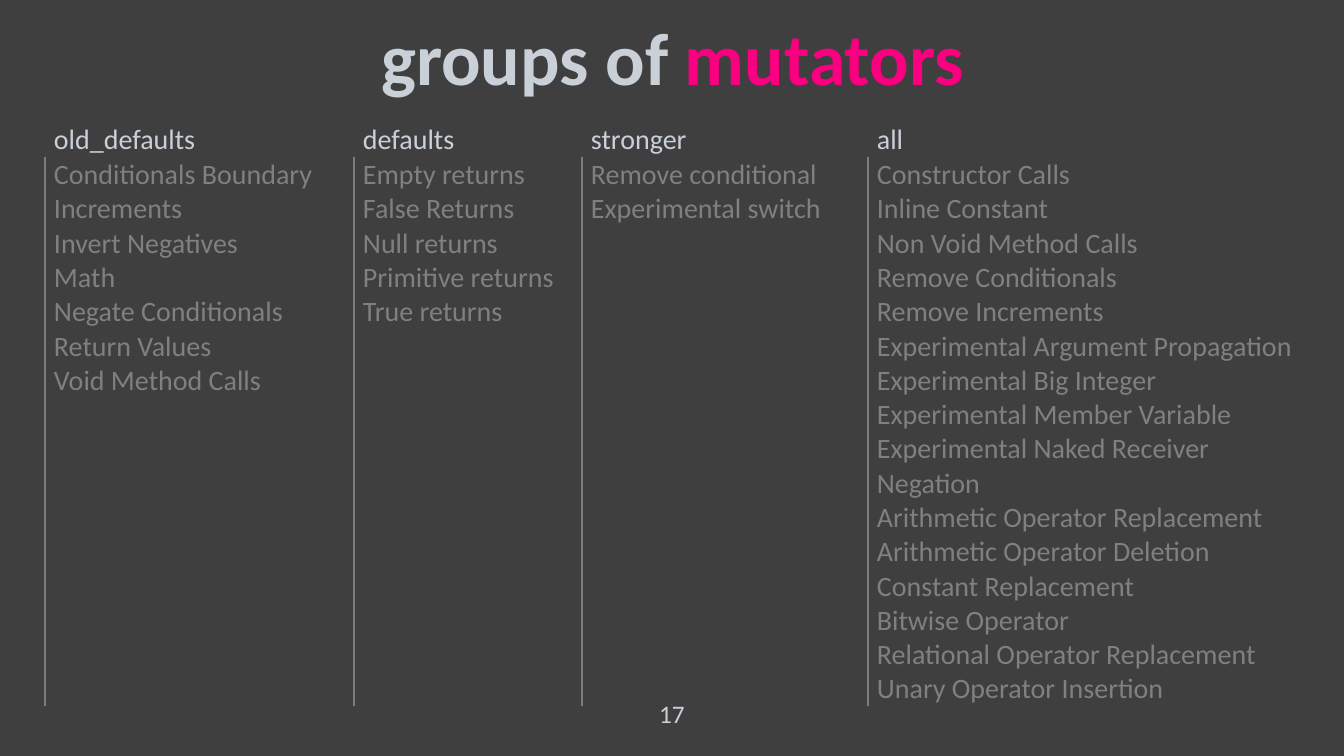
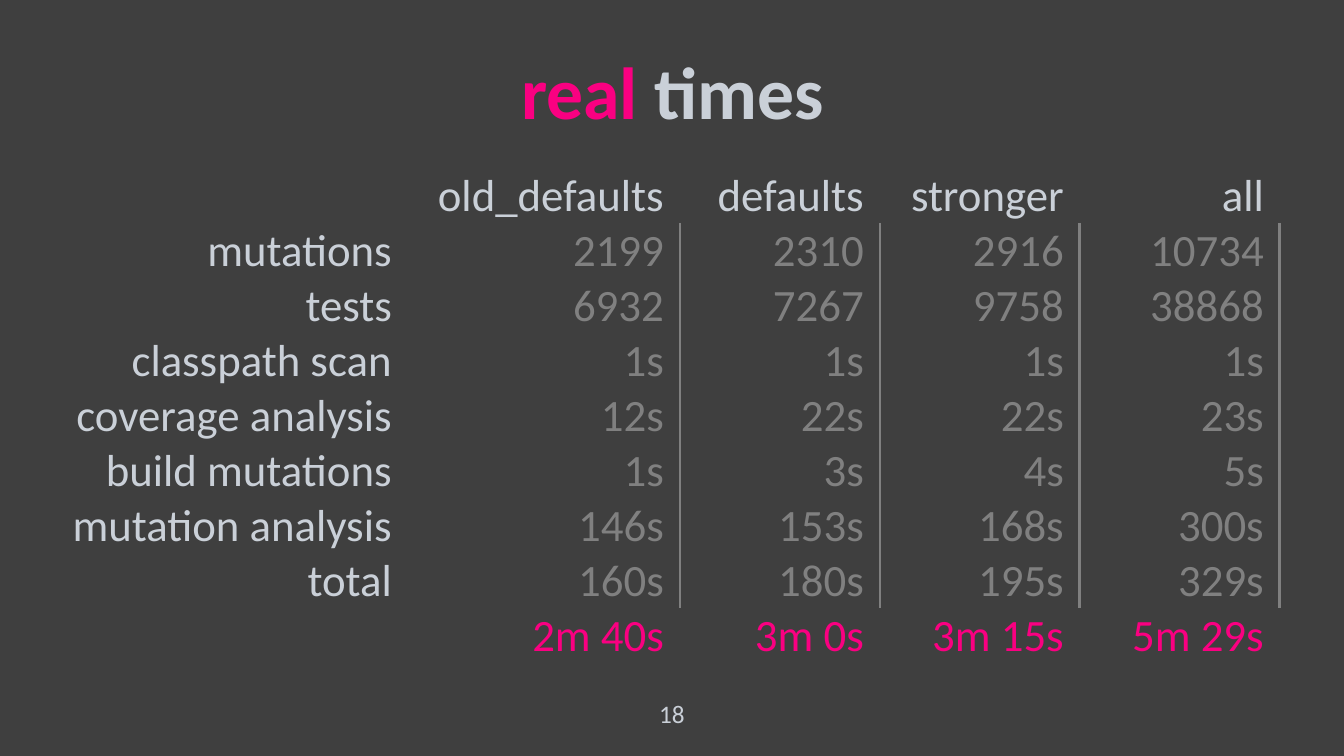
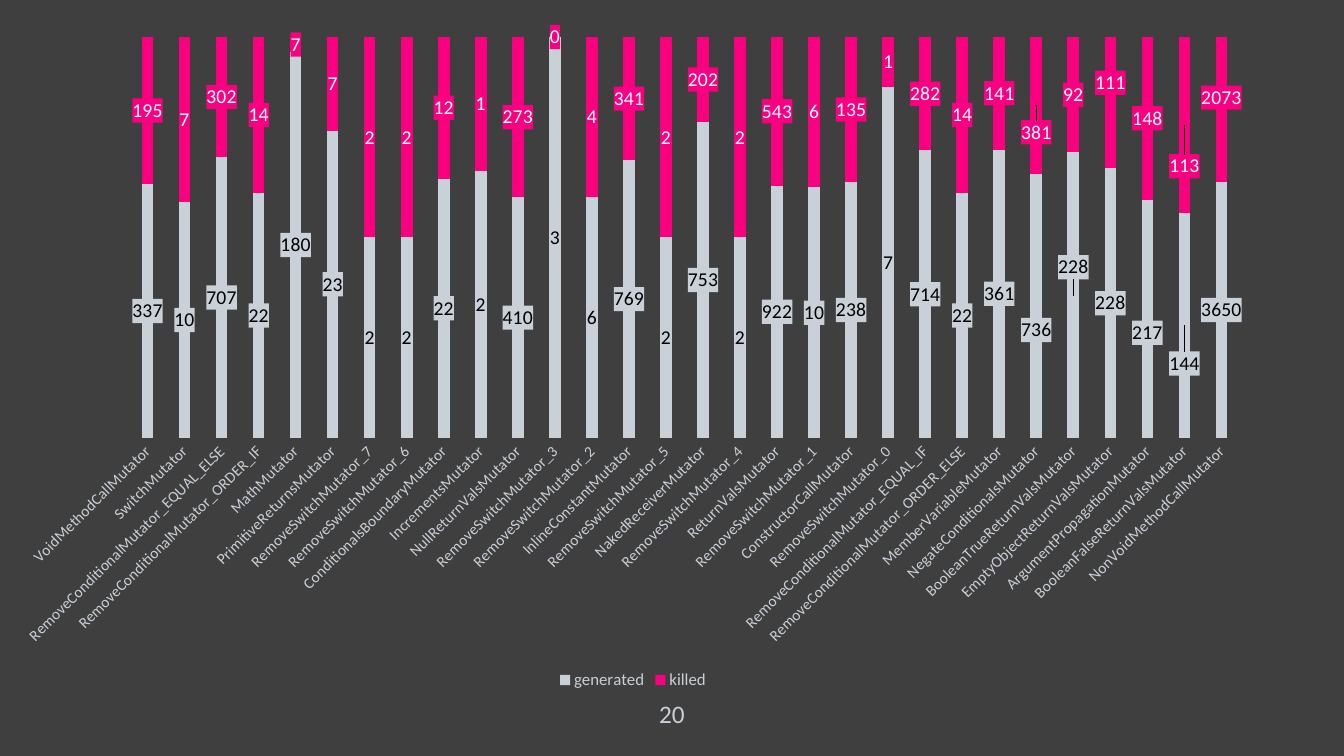
import lxml.etree
import pptx
import pptx.chart.data
import pptx.dml.color
import pptx.enum.chart
import pptx.enum.text
import pptx.oxml
import pptx.oxml.ns
import pptx.util
from dataclasses import dataclass


@dataclass(frozen=True)
class Theme:
    background: str = "3F3F3F"
    light: str = "CAD0D8"
    muted: str = "808080"
    rule: str = "7D7D7D"
    accent: str = "FA0081"
    black: str = "000000"
    white: str = "FFFFFF"
    font: str = "Calibri"
    title: float = 52.6
    times: int = 32
    groups: int = 20
    number: int = 18
    label: int = 14
    legend: int = 12
    axis: int = 11


THEME = Theme()
WIDTH, HEIGHT = 1344, 756
SCALE = 12192000 / WIDTH
TITLE_ONLY, BLANK = 5, 6
NO_GRID_STYLE = "{2D5ABB26-0587-4C30-8999-92F81FD0307C}"

# Content: mutator groups
GROUPS_TITLE = [("groups of ", THEME.light), ("mutators", THEME.accent)]
GROUPS = {
    "old_defaults": [
        "Conditionals Boundary", "Increments", "Invert Negatives", "Math",
        "Negate Conditionals", "Return Values", "Void Method Calls"],
    "defaults": [
        "Empty returns", "False Returns", "Null returns",
        "Primitive returns", "True returns"],
    "stronger": ["Remove conditional", "Experimental switch"],
    "all": [
        "Constructor Calls", "Inline Constant", "Non Void Method Calls",
        "Remove Conditionals", "Remove Increments",
        "Experimental Argument Propagation", "Experimental Big Integer",
        "Experimental Member Variable", "Experimental Naked Receiver",
        "Negation", "Arithmetic Operator Replacement",
        "Arithmetic Operator Deletion", "Constant Replacement",
        "Bitwise Operator", "Relational Operator Replacement",
        "Unary Operator Insertion"],
}

# Content: measured times
TIMES_TITLE = [("real", THEME.accent), (" times", THEME.light)]
TIMES = [
    ("", *GROUPS),
    ("mutations", "2199", "2310", "2916", "10734"),
    ("tests", "6932", "7267", "9758", "38868"),
    ("classpath scan", "1s", "1s", "1s", "1s"),
    ("coverage analysis", "12s", "22s", "22s", "23s"),
    ("build mutations", "1s", "3s", "4s", "5s"),
    ("mutation analysis", "146s", "153s", "168s", "300s"),
    ("total", "160s", "180s", "195s", "329s"),
    ("", "2m 40s", "3m 0s", "3m 15s", "5m 29s"),
]

# Content: mutator, generated, killed
RESULTS = [
    ("VoidMethodCallMutator", 337, 195),
    ("SwitchMutator", 10, 7),
    ("RemoveConditionalMutator_EQUAL_ELSE", 707, 302),
    ("RemoveConditionalMutator_ORDER_IF", 22, 14),
    ("MathMutator", 180, 7),
    ("PrimitiveReturnsMutator", 23, 7),
    ("RemoveSwitchMutator_7", 2, 2),
    ("RemoveSwitchMutator_6", 2, 2),
    ("ConditionalsBoundaryMutator", 22, 12),
    ("IncrementsMutator", 2, 1),
    ("NullReturnValsMutator", 410, 273),
    ("RemoveSwitchMutator_3", 3, 0),
    ("RemoveSwitchMutator_2", 6, 4),
    ("InlineConstantMutator", 769, 341),
    ("RemoveSwitchMutator_5", 2, 2),
    ("NakedReceiverMutator", 753, 202),
    ("RemoveSwitchMutator_4", 2, 2),
    ("ReturnValsMutator", 922, 543),
    ("RemoveSwitchMutator_1", 10, 6),
    ("ConstructorCallMutator", 238, 135),
    ("RemoveSwitchMutator_0", 7, 1),
    ("RemoveConditionalMutator_EQUAL_IF", 714, 282),
    ("RemoveConditionalMutator_ORDER_ELSE", 22, 14),
    ("MemberVariableMutator", 361, 141),
    ("NegateConditionalsMutator", 736, 381),
    ("BooleanTrueReturnValsMutator", 228, 92),
    ("EmptyObjectReturnValsMutator", 228, 111),
    ("ArgumentPropagationMutator", 217, 148),
    ("BooleanFalseReturnValsMutator", 144, 113),
    ("NonVoidMethodCallMutator", 3650, 2073),
]
# Name, bar colour, label colour, vertical label shifts in px by point
SERIES = [
    ("generated", THEME.light, THEME.black, {24: 24, 25: -28, 27: 14, 28: 38}),
    ("killed", THEME.accent, THEME.white, {24: 27, 26: -20, 28: 41, 29: -12}),
]
CHART_BOX = (0, 23, 1266, 671)
PLOT_BOX = (129, 14, 1111, 401)


# Shared helpers
def px(length):
    return pptx.util.Emu(round(length * SCALE))


def rgb(color):
    return pptx.dml.color.RGBColor.from_string(color)


def style_font(font, size, color, bold=False):
    font.name = THEME.font
    font.size = pptx.util.Pt(size)
    font.bold = bold
    font.color.rgb = rgb(color)


def make_xml(tag, body="", attributes=""):
    spaces = pptx.oxml.ns.nsdecls("a", "c")
    return pptx.oxml.parse_xml(f"<{tag} {spaces} {attributes}>{body}</{tag}>")


def solid_fill(color):
    return f'<a:solidFill><a:srgbClr val="{color}"/></a:solidFill>'


def add_page(deck, layout, number, title=(), title_top=0):
    page = deck.slides.add_slide(deck.slide_layouts[layout])
    if title:
        box = page.shapes.title
        box.left, box.top, box.width, box.height = map(
            px, (93, title_top, 1159, 146))
        frame = box.text_frame
        frame.auto_size = pptx.enum.text.MSO_AUTO_SIZE.NONE
        frame.vertical_anchor = pptx.enum.text.MSO_ANCHOR.MIDDLE
        para = frame.paragraphs[0]
        para.alignment = pptx.enum.text.PP_ALIGN.CENTER
        para.line_spacing = 0.9
        for text, color in title:
            span = para.add_run()
            span.text = text
            style_font(span.font, THEME.title, color, bold=True)
    # Page number
    box = page.shapes.add_textbox(*map(px, (584, 693, 176, 40)))
    box.text_frame.word_wrap = True
    para = box.text_frame.paragraphs[0]
    para.text = str(number)
    para.alignment = pptx.enum.text.PP_ALIGN.CENTER
    style_font(para.runs[0].font, THEME.number, THEME.light)
    return page


def add_plain_table(page, left, top, widths, heights):
    table = page.shapes.add_table(
        len(heights), len(widths), px(left), px(top),
        px(sum(widths)), px(sum(heights))).table
    table.first_row = table.horz_banding = False
    style = table._tbl.tblPr.find(pptx.oxml.ns.qn("a:tableStyleId"))
    style.text = NO_GRID_STYLE
    for column, width in zip(table.columns, widths):
        column.width = px(width)
    for row, height in zip(table.rows, heights):
        row.height = px(height)
    return table


def fill_cell(cell, text, size, color, align, anchor, left=1, right=1):
    cell.fill.background()
    cell.margin_left, cell.margin_right = px(left), px(right)
    cell.margin_top, cell.margin_bottom = px(1), 0
    cell.vertical_anchor = anchor
    cell.text_frame.text = text
    for para in cell.text_frame.paragraphs:
        para.alignment = align
        for span in para.runs:
            style_font(span.font, size, color)


def add_cell_rule(cell, side, color, points):
    width = pptx.util.Pt(points)
    line = make_xml(f"a:ln{side}", solid_fill(color), f'w="{width}"')
    cell._tc.get_or_add_tcPr().insert(0, line)


def manual_layout(**values):
    body = "".join(f'<c:{name} val="{value}"/>'
                   for name, value in values.items())
    return make_xml("c:layout", f"<c:manualLayout>{body}</c:manualLayout>")


# Pages
def build_groups(deck):
    page = add_page(deck, TITLE_ONLY, 17, GROUPS_TITLE, -11)
    table = add_plain_table(page, 45, 122, (309, 228, 286, 430), (35, 549))
    align = pptx.enum.text.PP_ALIGN.LEFT
    anchors = pptx.enum.text.MSO_ANCHOR
    for column, (name, mutators) in enumerate(GROUPS.items()):
        fill_cell(table.cell(0, column), name, THEME.groups, THEME.light,
                  align, anchors.BOTTOM, left=9)
        body = table.cell(1, column)
        fill_cell(body, "\n".join(mutators), THEME.groups, THEME.muted,
                  align, anchors.TOP, left=9)
        add_cell_rule(body, "L", THEME.rule, 1)


def build_times(deck):
    page = add_page(deck, TITLE_ONLY, 18, TIMES_TITLE, 23)
    table = add_plain_table(
        page, 62, 168, (346, 272, 200, 200, 200), [55] * len(TIMES))
    last = len(TIMES) - 1
    for row, texts in enumerate(TIMES):
        for column, text in enumerate(texts):
            cell = table.cell(row, column)
            measured = column > 0 and 0 < row < last
            color = (THEME.muted if measured else
                     THEME.accent if row == last else THEME.light)
            fill_cell(cell, text, THEME.times, color,
                      pptx.enum.text.PP_ALIGN.RIGHT,
                      pptx.enum.text.MSO_ANCHOR.BOTTOM, right=16)
            if measured:
                add_cell_rule(cell, "R", THEME.muted, 2.25)


def style_labels(series, bar_color, text_color, shifts):
    labels = series.data_labels
    labels.show_value = True
    style_font(labels.font, THEME.label, text_color)
    for point in shifts:
        style_font(series.points[point].data_label.font,
                   THEME.label, text_color)
    # Label backgrounds and shifted labels
    qn = pptx.oxml.ns.qn
    for text_style in list(labels._element.iter(qn("c:txPr"))):
        text_style.addprevious(make_xml("c:spPr", solid_fill(bar_color)))
    for label in labels._element.findall(qn("c:dLbl")):
        index = label.find(qn("c:idx"))
        shift = shifts[int(index.get("val"))]
        index.addnext(manual_layout(x=0, y=round(shift / CHART_BOX[3], 4)))


def build_results(deck):
    page = add_page(deck, BLANK, 20)
    names, *columns = zip(*RESULTS)
    data = pptx.chart.data.CategoryChartData()
    data.categories = names
    for (name, *_), values in zip(SERIES, columns):
        data.add_series(name, values)
    chart = page.shapes.add_chart(
        pptx.enum.chart.XL_CHART_TYPE.COLUMN_STACKED_100,
        *map(px, CHART_BOX), data).chart
    chart.has_title = False
    style_font(chart.font, THEME.axis, THEME.light)

    # Legend and axes
    chart.has_legend = True
    chart.legend.position = pptx.enum.chart.XL_LEGEND_POSITION.BOTTOM
    chart.legend.include_in_layout = False
    style_font(chart.legend.font, THEME.legend, THEME.light)
    chart.value_axis.visible = False
    chart.value_axis.has_major_gridlines = False
    axis = chart.category_axis
    axis.major_tick_mark = pptx.enum.chart.XL_TICK_MARK.NONE
    axis.format.line.fill.background()
    style_font(axis.tick_labels.font, THEME.axis, THEME.light)
    text_body = axis._element.find(".//" + pptx.oxml.ns.qn("a:bodyPr"))
    text_body.set("rot", "-2700000")

    # Bars and labels
    plot = chart.plots[0]
    plot.gap_width, plot.overlap = 219, 100
    plot.vary_by_categories = False
    for series, (_, bar_color, text_color, shifts) in zip(plot.series, SERIES):
        series.format.fill.solid()
        series.format.fill.fore_color.rgb = rgb(bar_color)
        style_labels(series, bar_color, text_color, shifts)

    # Plot area
    area = chart._chartSpace.find(".//" + pptx.oxml.ns.qn("c:plotArea"))
    for old in area.findall(pptx.oxml.ns.qn("c:layout")):
        area.remove(old)
    left, top, width, height = PLOT_BOX
    area.insert(0, manual_layout(
        layoutTarget="inner", xMode="edge", yMode="edge",
        x=round(left / CHART_BOX[2], 4), y=round(top / CHART_BOX[3], 4),
        w=round(width / CHART_BOX[2], 4), h=round(height / CHART_BOX[3], 4)))


def main():
    deck = pptx.Presentation()
    deck.slide_width, deck.slide_height = px(WIDTH), px(HEIGHT)
    fill = deck.slide_master.background.fill
    fill.solid()
    fill.fore_color.rgb = rgb(THEME.background)
    for build in (build_groups, build_times, build_results):
        build(deck)
    deck.save("out.pptx")


if __name__ == "__main__":
    main()
